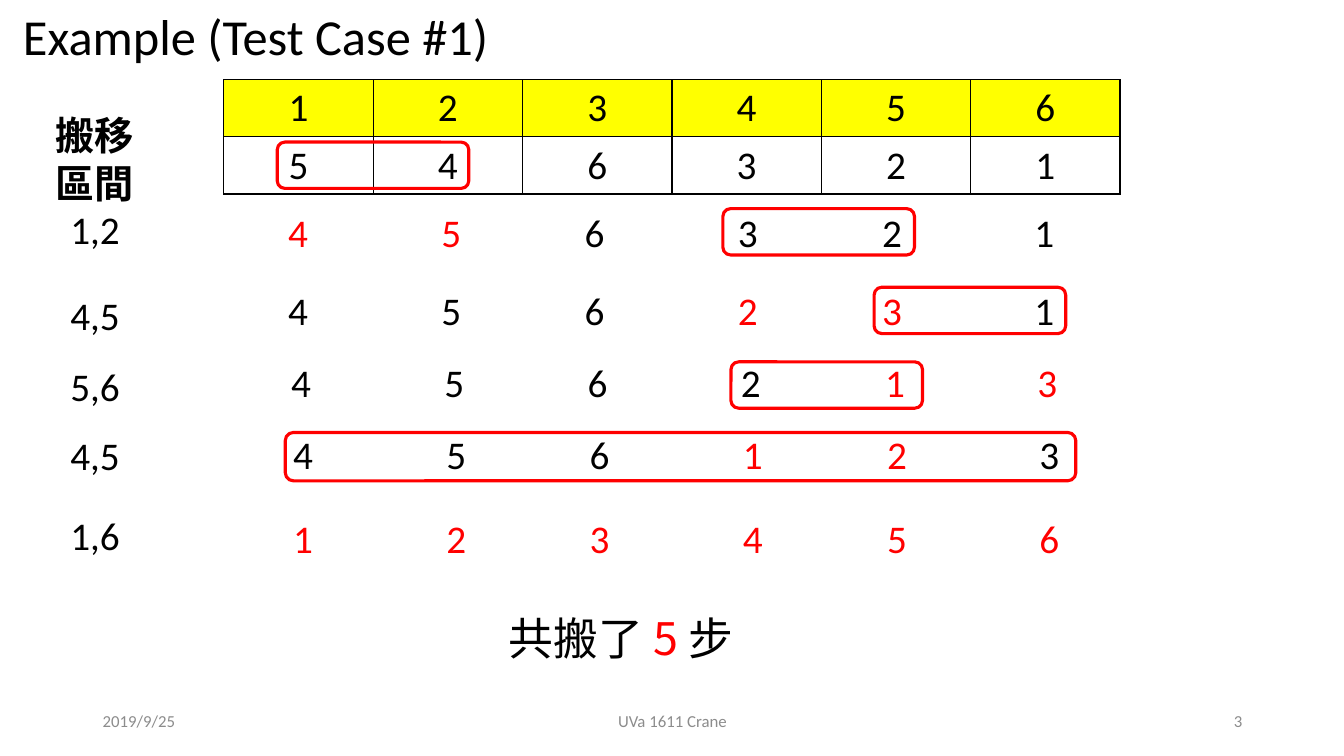
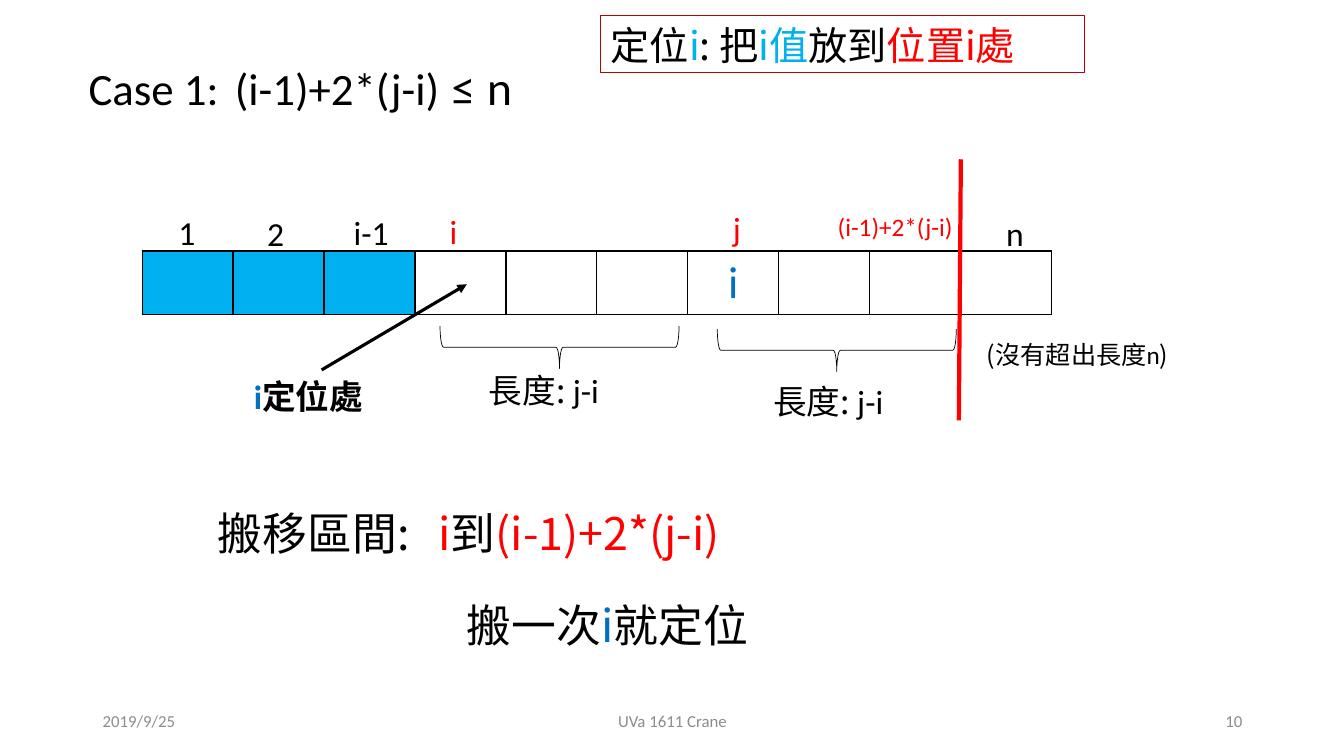
import pptx
import pptx.util
import pptx.dml.color
import pptx.enum.shapes
import pptx.enum.text
import pptx.oxml
import pptx.oxml.ns
import lxml.etree

Inches = pptx.util.Inches
Pt = pptx.util.Pt
Shape = pptx.enum.shapes.MSO_SHAPE
Align = pptx.enum.text.PP_ALIGN
Anchor = pptx.enum.text.MSO_ANCHOR
qn = pptx.oxml.ns.qn

BLACK, RED, GRAY = "000000", "FF0000", "8C8C8C"
YELLOW, SKY, BLUE, DARK_RED = "FFFF00", "00B0F0", "0070C0", "C00000"
LATIN, CHINESE = "Calibri", "Noto Sans CJK SC"
LINE_FACTOR = 1.22


def rgb(value):
    return pptx.dml.color.RGBColor.from_string(value)


def child(parent, tag, **attributes):
    return lxml.etree.SubElement(parent, qn(tag), attributes)


def write(frame, *spans, size=28, color=BLACK, font=LATIN, bold=False,
          align=Align.LEFT, tabs=()):
    para = frame.paragraphs[0]
    para.alignment = align
    if font == CHINESE:
        para.line_spacing = Pt(round(size * LINE_FACTOR, 1))
    if tabs:
        stops = child(para._p.get_or_add_pPr(), "a:tabLst")
        for stop in tabs:
            child(stops, "a:tab", pos=str(int(Inches(stop))), algn="l")
    for item in spans:
        text, changes = (item, {}) if isinstance(item, str) else item
        span = para.add_run()
        span.text = text
        span.font.size = Pt(size)
        span.font.bold = bold
        span.font.color.rgb = rgb(changes.get("color", color))
        span.font.name = changes.get("font", font)
        child(span._r.get_or_add_rPr(), "a:ea", typeface=CHINESE)


class Painter:
    """Holds the deck, its shared style and the current page."""

    def __init__(self):
        self.deck = pptx.Presentation()
        self.deck.slide_width = Inches(13.33)
        self.deck.slide_height = Inches(7.5)
        self.page = None

    def new_page(self, number):
        self.page = self.deck.slides.add_slide(self.deck.slide_layouts[6])
        footers = ((0.92, 3, "2019/9/25", Align.LEFT),
                   (4.42, 4.5, "UVa 1611 Crane", Align.CENTER),
                   (9.42, 3, str(number), Align.RIGHT))
        for left, width, words, align in footers:
            self.text(left, 6.95, width, 0.4, words, size=12, color=GRAY,
                      align=align, anchor=Anchor.MIDDLE)

    def text(self, left, top, width, height, *spans, anchor=Anchor.TOP, **style):
        box = self.page.shapes.add_textbox(
            Inches(left), Inches(top), Inches(width), Inches(height))
        box.text_frame.word_wrap = True
        box.text_frame.vertical_anchor = anchor
        write(box.text_frame, *spans, **style)

    def outline(self, kind, left, top, width, height, color=RED, weight=2.25,
                rotation=0):
        shape = self.page.shapes.add_shape(
            kind, Inches(left), Inches(top), Inches(width), Inches(height))
        shape.shadow.inherit = False
        shape.fill.background()
        shape.line.color.rgb = rgb(color)
        shape.line.width = Pt(weight)
        shape.rotation = rotation
        return shape

    def caption(self, left, top, width, height, *spans, **style):
        frame = self.outline(Shape.RECTANGLE, left, top, width, height,
                             DARK_RED, 0.75).text_frame
        frame.word_wrap = False
        frame.vertical_anchor = Anchor.TOP
        write(frame, *spans, **style)

    def line(self, start, end, color, weight, arrow=False):
        line = self.page.shapes.add_connector(
            pptx.enum.shapes.MSO_CONNECTOR.STRAIGHT,
            Inches(start[0]), Inches(start[1]), Inches(end[0]), Inches(end[1]))
        line.line.color.rgb = rgb(color)
        line.line.width = Pt(weight)
        if arrow:
            child(line.line._get_or_add_ln(), "a:tailEnd", type="triangle")
        child(line._element.spPr, "a:effectLst")

    def table(self, left, top, width, row_height, rows, fills, **style):
        table = self.page.shapes.add_table(
            len(rows), len(rows[0]), Inches(left), Inches(top),
            Inches(width), Inches(row_height * len(rows))).table
        table.first_row = table.horz_banding = False
        for row, words, colors in zip(table.rows, rows, fills):
            row.height = Inches(row_height)
            for cell, word, fill in zip(row.cells, words, colors):
                if fill:
                    cell.fill.solid()
                    cell.fill.fore_color.rgb = rgb(fill)
                else:
                    cell.fill.background()
                self.border(cell)
                if word:
                    write(cell.text_frame, word, align=Align.CENTER, **style)

    def border(self, cell):
        properties = cell._tc.get_or_add_tcPr()
        for index, side in enumerate(("a:lnL", "a:lnR", "a:lnT", "a:lnB")):
            edge = child(properties, side, w=str(int(Pt(1))))
            child(child(edge, "a:solidFill"), "a:srgbClr", val=BLACK)
            properties.insert(index, edge)


def example_page(painter):
    painter.new_page(3)
    painter.text(0.13, 0, 4.96, 0.71, "Example (Test Case #1)", size=36)
    painter.table(2.22, 0.79, 8.89, 0.56, ("123456", "546321"),
                  ([YELLOW] * 6, [None] * 6))
    painter.text(0.45, 1.05, 1.22, 1.04, "搬移區間", font=CHINESE, bold=True)

    steps = (("1,2", 1.99, 2.23, 2.02, "456321", "45"),
             ("4,5", 2.84, 2.23, 2.79, "456231", "23"),
             ("5,6", 3.55, 2.26, 3.51, "456213", "13"),
             ("4,5", 4.23, 2.28, 4.22, "456123", "12"),
             ("1,6", 5.02, 2.28, 5.05, "123456", "123456"))
    stops = (0.53, 2.05, 3.47, 4.99, 6.42, 7.93)
    for interval, label_top, left, top, digits, moved in steps:
        painter.text(0.6, label_top, 0.75, 0.57, interval)
        spans = [("\t" + digit, {"color": RED if digit in moved else BLACK})
                 for digit in digits]
        painter.text(left, top, 8.84, 0.57, *spans, tabs=stops)

    for left, top, width, height in ((2.75, 1.41, 1.9, 0.46),
                                     (7.17, 2.07, 1.9, 0.46),
                                     (8.67, 2.85, 1.9, 0.46),
                                     (7.25, 3.59, 1.9, 0.46),
                                     (2.83, 4.29, 7.84, 0.48)):
        painter.outline(Shape.ROUNDED_RECTANGLE, left, top, width, height)
    painter.text(4.95, 6, 2.84, 0.64, "共搬了 ", ("5 ", {"color": RED}), "步",
                 size=32, font=CHINESE)


def case_page(painter):
    painter.new_page(10)
    painter.text(0.78, 0.55, 5.11, 0.64, "Case 1:\t(i-1)+2*(j-i) ",
                 ("≤ n", {"font": "Lato"}), size=32, tabs=(1.45,))
    painter.caption(5.96, 0.15, 4.8, 0.57, "定位", ("i", {"color": SKY}), ": 把",
                    ("i值", {"color": SKY}), "放到", ("位置i處", {"color": RED}),
                    font=CHINESE)

    painter.table(1.41, 2.49, 9.02, 0.63, ([""] * 6 + ["i"] + [""] * 3,),
                  ([SKY] * 3 + [None] * 7,), size=32, color=BLUE)
    for left, top, width, word, color in ((1.67, 2.05, 0.35, "1", BLACK),
                                          (2.55, 2.06, 0.62, "2", BLACK),
                                          (3.41, 2.05, 0.69, "i-1", BLACK),
                                          (4.36, 2.04, 0.35, "i", RED),
                                          (7.17, 2.01, 0.35, "j", RED),
                                          (9.88, 2.06, 0.35, "n", BLACK)):
        painter.text(left, top, width, 0.5, word, size=24, color=color)
    painter.text(8.21, 2.05, 1.37, 0.42, "(i-1)+2*(j-i)", size=18, color=RED)

    for brace_left, brace_top, left, top in ((5.34, 2.26, 4.75, 3.61),
                                             (8.09, 2.29, 7.57, 3.72)):
        painter.outline(Shape.LEFT_BRACE, brace_left, brace_top, 0.42, 2.37,
                        BLACK, 0.5, rotation=270)
        painter.text(left, top, 1.53, 0.5, "長度: ", ("j-i", {"font": LATIN}),
                     size=24, font=CHINESE)
    painter.line((9.53, 1.58), (9.51, 4.17), RED, 3)
    painter.line((3.19, 3.67), (4.63, 2.82), BLACK, 2.25, arrow=True)

    painter.text(2.42, 3.67, 1.53, 0.5, ("i", {"color": BLUE, "font": LATIN}),
                 "定位處", size=24, font=CHINESE, bold=True)
    painter.text(9.69, 3.31, 2.01, 0.4, "(沒有超出長度", ("n", {"font": LATIN}), ")",
                 size=18, font=CHINESE)
    painter.text(2.06, 4.96, 7.24, 0.64, "搬移區間:\t", ("i", {"color": RED}), "到",
                 ("(i-1)+2*(j-i)", {"color": RED}), size=32, font=CHINESE,
                 tabs=(2.19,))
    painter.text(4.53, 5.87, 3.73, 0.64, "搬一次", ("i", {"color": BLUE}), "就定位",
                 size=32, font=CHINESE)


def main():
    painter = Painter()
    example_page(painter)
    case_page(painter)
    painter.deck.save("out.pptx")


if __name__ == "__main__":
    main()
